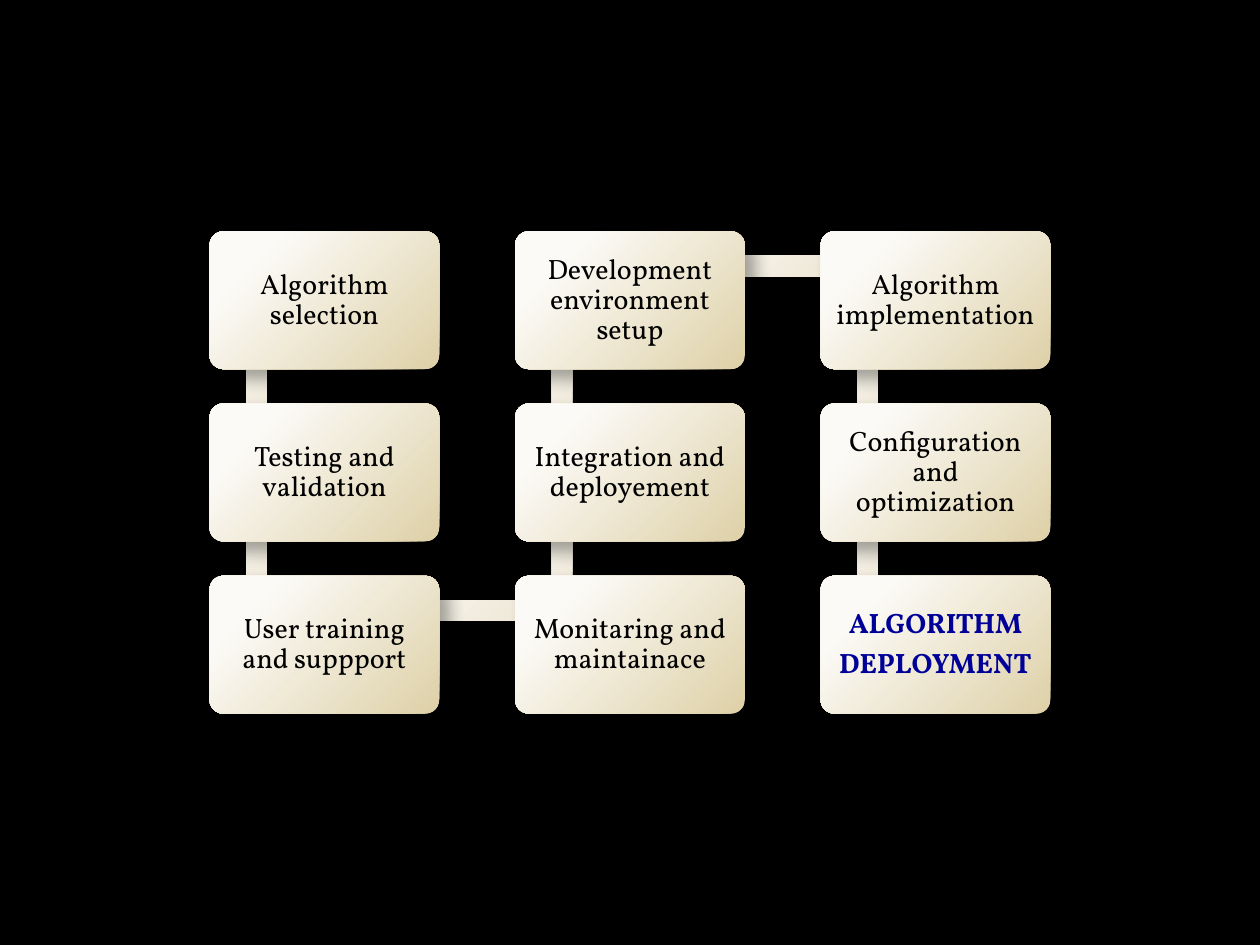
from pptx import Presentation
from pptx.dml.color import RGBColor
from pptx.enum.shapes import MSO_SHAPE
from pptx.enum.text import MSO_ANCHOR, PP_ALIGN
from pptx.oxml import parse_xml
from pptx.util import Pt

RECT, ROUNDED = MSO_SHAPE.RECTANGLE, MSO_SHAPE.ROUNDED_RECTANGLE
MIDDLE, CENTER = MSO_ANCHOR.MIDDLE, PP_ALIGN.CENTER
NS = 'xmlns:a="http://schemas.openxmlformats.org/drawingml/2006/main"'

FLOW_BOX = (119.8, 132.2, 480.4, 275.6)
STEP_W, STEP_H = 131.25, 78.75
BAR_THICKNESS = 11.8
ANCHOR_X, ANCHOR_Y = 26.8, 19.8
BAR_COLORS = ("FDFCFA", "ECE5D1")
STEP_COLORS = ("FBFAF6", "DED1A8")
INK, ACCENT = "000000", "000099"

STEPS = [
    (0, 0, ["Algorithm selection"]),
    (0, 1, ["Testing and validation"]),
    (0, 2, ["User training and suppport"]),
    (1, 2, ["Monitaring and maintainace"]),
    (1, 1, ["Integration and deployement"]),
    (1, 0, ["Development environment setup"]),
    (2, 0, ["Algorithm implementation"]),
    (2, 1, ["Configuration and optimization"]),
    (2, 2, ["ALGORITHM", "DEPLOYMENT"]),
]


def rgb(value):
    """Return the colour for a hex string."""
    return RGBColor.from_string(value)


def set_all(target, values):
    """Set every attribute named in a dict."""
    for name, value in values.items():
        setattr(target, name, value)


def add_panel(s, kind, box, colors):
    """Add a borderless shape with a radial gradient and a soft shadow."""
    sp = s.shapes.add_shape(kind, *(Pt(v) for v in box))
    sp.line.fill.background()
    stops = "".join(
        f'<a:gs pos="{pos}"><a:srgbClr val="{color}"/></a:gs>'
        for pos, color in zip((20000, 100000), colors)
    )
    props = sp._element.spPr
    props.insert(2, parse_xml(
        f'<a:gradFill {NS} rotWithShape="1"><a:gsLst>{stops}</a:gsLst>'
        '<a:path path="circle"><a:fillToRect l="-15000" t="-15000" '
        'r="115000" b="115000"/></a:path></a:gradFill>'))
    props.append(parse_xml(
        f'<a:effectLst {NS}><a:outerShdw blurRad="{Pt(10.2)}" dist="{Pt(8)}" '
        'dir="2700000" algn="tl" rotWithShape="0"><a:srgbClr val="000000">'
        '<a:alpha val="35000"/></a:srgbClr></a:outerShdw></a:effectLst>'))
    return sp


def add_bar(s, start, end):
    """Add the bar that joins the anchor points of two steps."""
    (x1, y1), (x2, y2) = start, end
    length = abs(x2 - x1) + abs(y2 - y1) - 1
    box = ((x1 + x2 - length) / 2, (y1 + y2 - BAR_THICKNESS) / 2,
           length, BAR_THICKNESS)
    sp = add_panel(s, RECT, box, BAR_COLORS)
    sp.rotation = 0 if y1 == y2 else 90 if y2 > y1 else 270


def add_step(s, x, y, lines, final):
    """Add one rounded step with its label."""
    sp = add_panel(s, ROUNDED, (x, y, STEP_W, STEP_H), STEP_COLORS)
    sp.adjustments[0] = 0.1
    tf = sp.text_frame
    set_all(tf, {"word_wrap": True, "vertical_anchor": MIDDLE})
    set_all(tf, {f"margin_{side}": Pt(4.8)
                 for side in ("left", "top", "right", "bottom")})
    for i, line in enumerate(lines):
        p = tf.add_paragraph() if i else tf.paragraphs[0]
        set_all(p, {"alignment": CENTER, "line_spacing": 0.9,
                    "space_after": Pt(5.6)})
        r = p.add_run()
        r.text = line
        set_all(r.font, {"name": "Vollkorn", "size": Pt(16), "bold": final})
        r.font.color.rgb = rgb(ACCENT if final else INK)


def add_flow(s, box, steps):
    """Add the winding flow of steps inside a box."""
    left, top, width, height = box
    pitch_x, pitch_y = (width - STEP_W) / 2, (height - STEP_H) / 2
    corners = [(left + col * pitch_x, top + row * pitch_y)
               for col, row, _ in steps]
    anchors = [(x + ANCHOR_X, y + ANCHOR_Y) for x, y in corners]
    last = len(steps) - 1
    for i, (_, _, lines) in enumerate(steps):
        if i < last:
            add_bar(s, anchors[i], anchors[i + 1])
        add_step(s, *corners[i], lines, i == last)


def main():
    """Build and save the slide."""
    prs = Presentation()
    set_all(prs, {"slide_width": Pt(720), "slide_height": Pt(540)})
    s = prs.slides.add_slide(prs.slide_layouts[6])
    s.background.fill.solid()
    s.background.fill.fore_color.rgb = rgb("000000")
    add_flow(s, FLOW_BOX, STEPS)
    prs.save("out.pptx")


if __name__ == "__main__":
    main()
